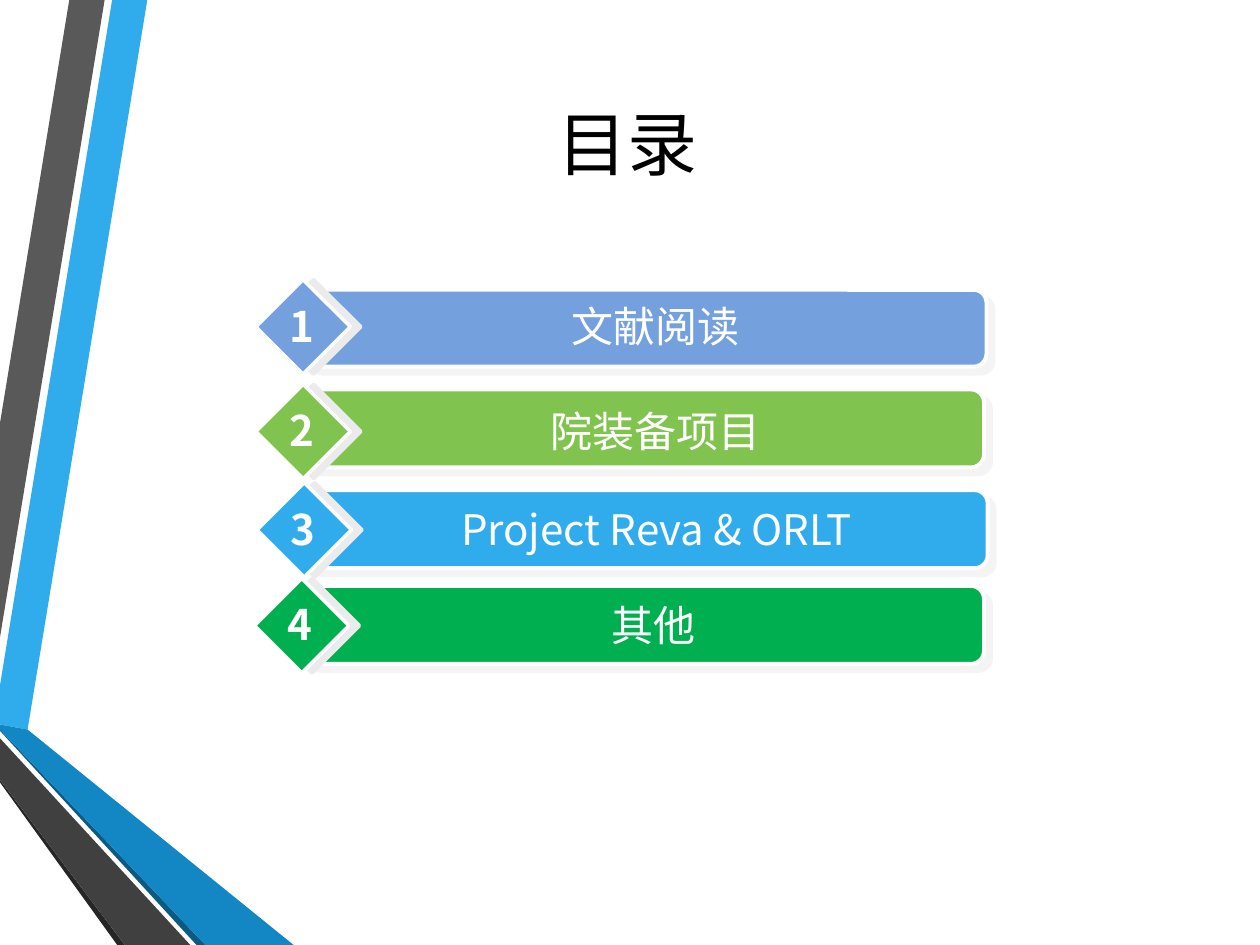
from lxml.etree import SubElement
from pptx import Presentation
from pptx.dml.color import RGBColor
from pptx.enum.shapes import MSO_SHAPE
from pptx.enum.text import MSO_ANCHOR, MSO_AUTO_SIZE, PP_ALIGN
from pptx.oxml.ns import qn
from pptx.util import Pt

FONT = "Noto Sans CJK SC"
WHITE = "FFFFFF"
SHADOW = "EBEBEB"

# Ribbon pieces at the left edge, back to front: colour, corner points
RIBBONS = [
    ("30ACEC", [(0, 391.7), (0, 414), (15.8, 416.9), (84.2, 0), (64.1, 0)]),
    ("595959", [(59.8, 0), (39.6, 0), (0, 241.9), (0, 364.3)]),
    ("262626", [(0, 445.7), (0, 447.1), (67, 540), (71.3, 540)]),
    ("0C5A82", [(0, 416.9), (0, 417.6), (112.3, 540), (117.4, 540)]),
    ("1287C3", [(0, 416.9), (117.4, 540), (167.8, 540), (15.8, 416.9), (0, 414)]),
    ("404040", [(0, 445.7), (71.3, 540), (108.7, 540), (0, 421.9)]),
]

# Agenda entries: text, colour, diamond (left, top), bar (left, top, height)
ENTRIES = [
    ("文献阅读", "74A1DE", (146.2, 159.8), (173.5, 165.6, 43.9)),
    ("院装备项目", "80C34F", (146.2, 219.6), (172.1, 222.5, 44.6)),
    ("Project Reva & ORLT", "30ACEC", (146.9, 275.8), (174.2, 280.1, 44.6)),
    ("其他", "00B050", (145.4, 330.5), (172.1, 334.8, 44.6)),
]
BAR_WIDTH = 390.2
DIAMOND = 54


def rgb(value):
    return RGBColor.from_string(value)


def add_shadow(sp, dist, angle, alpha):
    sp.shadow.inherit = False
    effects = sp._element.spPr.find(qn("a:effectLst"))
    shadow = SubElement(effects, qn("a:outerShdw"), blurRad="0", dist=str(Pt(dist)),
                        dir=str(angle * 60000), algn="ctr", rotWithShape="0")
    color = SubElement(shadow, qn("a:srgbClr"), val=SHADOW)
    SubElement(color, qn("a:alpha"), val=str(alpha * 1000))


def add_block(s, kind, box, color, line_width):
    sp = s.shapes.add_shape(kind, *map(Pt, box))
    sp.fill.solid()
    sp.fill.fore_color.rgb = rgb(color)
    sp.line.color.rgb = rgb(WHITE)
    sp.line.width = Pt(line_width)
    return sp


def add_text(s, box, text, size, color, bold=False, wrap=True, grow=True):
    tf = s.shapes.add_textbox(*map(Pt, box)).text_frame
    tf.word_wrap = wrap
    tf.auto_size = MSO_AUTO_SIZE.SHAPE_TO_FIT_TEXT if grow else MSO_AUTO_SIZE.NONE
    tf.vertical_anchor = MSO_ANCHOR.TOP
    p = tf.paragraphs[0]
    p.alignment = PP_ALIGN.CENTER
    r = p.add_run()
    r.text = text
    r.font.size = Pt(size)
    r.font.bold = bold
    r.font.name = FONT
    r.font.color.rgb = rgb(color)
    SubElement(r.font._element, qn("a:ea"), typeface=FONT)


def add_ribbons(s, left, top):
    for color, points in RIBBONS:
        corners = [(Pt(left + x), Pt(top + y)) for x, y in points]
        builder = s.shapes.build_freeform(*corners[0])
        builder.add_line_segments(corners[1:], close=True)
        sp = builder.convert_to_shape()
        sp.shadow.inherit = False
        sp.fill.solid()
        sp.fill.fore_color.rgb = rgb(color)
        sp.line.fill.background()


def add_entry(s, number, text, color, corner, bar_box):
    left, top = corner
    bar_left, bar_top, bar_height = bar_box

    # Bar with its soft offset shadow
    bar = add_block(s, MSO_SHAPE.ROUNDED_RECTANGLE,
                    (bar_left, bar_top, BAR_WIDTH, bar_height), color, 2.25)
    bar.adjustments[0] = 0.167
    add_shadow(bar, 5.7, 45, 50)

    # Diamond marker
    diamond = add_block(s, MSO_SHAPE.DIAMOND, (left, top, DIAMOND, DIAMOND), color, 2)
    add_shadow(diamond, 6, 0, 100)

    # Label and number
    add_text(s, (left + 66.2, top + 8.5, 324, 36), text, 24, WHITE)
    add_text(s, (left + 11.4, top + 8.2, 29.5, 36), str(number), 24, WHITE,
             bold=True, wrap=False)


def main():
    prs = Presentation()
    prs.slide_width, prs.slide_height = Pt(720), Pt(540)
    s = prs.slides.add_slide(prs.slide_layouts[6])

    add_ribbons(s, 0, 0)
    add_text(s, (-2.9, 54, 722.9, 77.8), "目录", 40, "000000", grow=False)
    for number, entry in enumerate(ENTRIES, 1):
        add_entry(s, number, *entry)

    prs.save("out.pptx")


if __name__ == "__main__":
    main()
